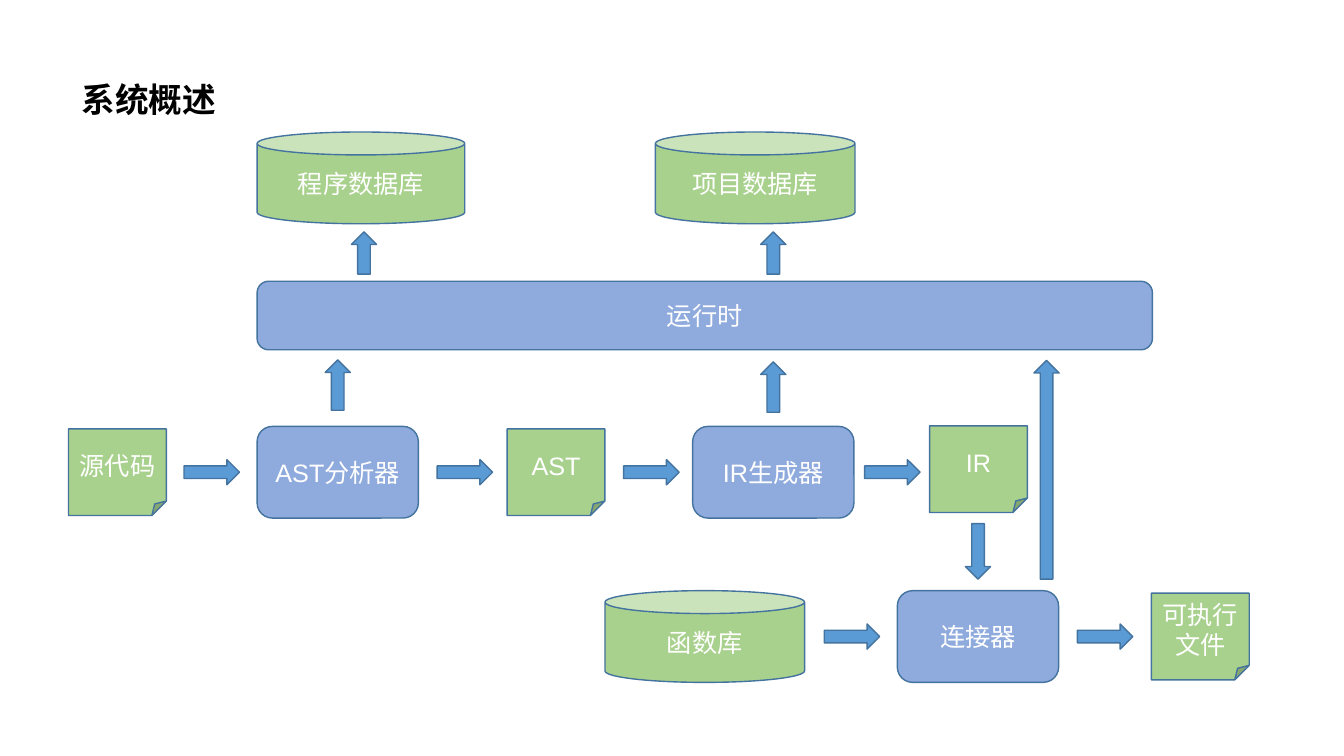
from dataclasses import dataclass

from pptx import Presentation
from pptx.dml.color import RGBColor
from pptx.enum.shapes import MSO_SHAPE
from pptx.enum.text import MSO_ANCHOR, PP_ALIGN
from pptx.util import Inches, Pt


@dataclass(frozen=True)
class Theme:
    process: str = "8FAADC"
    storage: str = "A9D18E"
    arrow: str = "5B9BD5"
    outline: str = "43739E"
    label: str = "FFFFFF"
    title: str = "000000"
    body_font: str = "Arial"
    title_font: str = "Montserrat"
    body_size: int = 18
    title_size: int = 24


@dataclass(frozen=True)
class Box:
    left: float
    top: float
    width: float
    height: float

    @property
    def middle(self):
        return self.top + self.height / 2


THEME = Theme()
STEP_WIDTH, STEP_HEIGHT = 1.6, 0.91
FILE_WIDTH, FILE_HEIGHT = 0.97, 0.86
STORE_WIDTH = 1.98
ARROW_LENGTH, ARROW_WIDTH = 0.55, 0.25
RIGHT, DOWN, UP = 0, 90, 270


def style_run(run, font, size, color, bold=False):
    run.font.name = font
    run.font.size = Pt(size)
    run.font.bold = bold
    run.font.color.rgb = RGBColor.from_string(color)


def add_block(slide, kind, box, fill, text=""):
    shape = slide.shapes.add_shape(
        kind, Inches(box.left), Inches(box.top), Inches(box.width), Inches(box.height))
    shape.shadow.inherit = False
    shape.fill.solid()
    shape.fill.fore_color.rgb = RGBColor.from_string(fill)
    shape.line.color.rgb = RGBColor.from_string(THEME.outline)
    shape.line.width = Pt(1)
    if text:
        frame = shape.text_frame
        frame.word_wrap = True
        frame.vertical_anchor = MSO_ANCHOR.MIDDLE
        paragraph = frame.paragraphs[0]
        paragraph.alignment = PP_ALIGN.CENTER
        run = paragraph.add_run()
        run.text = text
        style_run(run, THEME.body_font, THEME.body_size, THEME.label)
    return shape


def add_step(slide, left, top, text, width=STEP_WIDTH, height=STEP_HEIGHT):
    add_block(slide, MSO_SHAPE.ROUNDED_RECTANGLE,
              Box(left, top, width, height), THEME.process, text)


def add_store(slide, left, top, text, width=STORE_WIDTH):
    add_block(slide, MSO_SHAPE.CAN,
              Box(left, top, width, STEP_HEIGHT), THEME.storage, text)


def add_file(slide, left, middle, text):
    add_block(slide, MSO_SHAPE.FOLDED_CORNER,
              Box(left, middle - FILE_HEIGHT / 2, FILE_WIDTH, FILE_HEIGHT),
              THEME.storage, text)


def add_arrow(slide, center_x, center_y, direction=RIGHT, length=ARROW_LENGTH):
    box = Box(center_x - length / 2, center_y - ARROW_WIDTH / 2, length, ARROW_WIDTH)
    add_block(slide, MSO_SHAPE.RIGHT_ARROW, box, THEME.arrow).rotation = direction


def set_title(slide, box, text):
    title = slide.shapes.title
    title.left, title.top = Inches(box.left), Inches(box.top)
    title.width, title.height = Inches(box.width), Inches(box.height)
    title.text_frame.vertical_anchor = MSO_ANCHOR.MIDDLE
    paragraph = title.text_frame.paragraphs[0]
    paragraph.alignment = PP_ALIGN.LEFT
    paragraph.line_spacing = 0.9
    run = paragraph.add_run()
    run.text = text
    style_run(run, THEME.title_font, THEME.title_size, THEME.title, bold=True)


def draw_databases(slide, box):
    add_store(slide, box.left, box.top, "程序数据库", width=2.06)
    add_store(slide, box.left + box.width - STORE_WIDTH, box.top, "项目数据库")
    for offset in (1.06, 5.12):
        add_arrow(slide, box.left + offset, box.top + 1.2, UP, 0.42)


def draw_runtime(slide, box):
    add_step(slide, box.left, box.top, "运行时", box.width, box.height)
    for offset, drop in ((0.8, 1.03), (5.12, 1.05)):
        add_arrow(slide, box.left + offset, box.top + drop, UP, 0.5)


def draw_compilation(slide, box):
    for offset, text in ((1.87, "AST分析器"), (6.19, "IR生成器")):
        add_step(slide, box.left + offset, box.top, text)
    for offset, shift, text in ((0, 0, "源代码"), (4.35, 0, "AST"), (8.54, -0.03, "IR")):
        add_file(slide, box.left + offset, box.middle + shift, text)
    for offset in (1.42, 3.93, 5.78, 8.17):
        add_arrow(slide, box.left + offset, box.middle)


def draw_linking(slide, box):
    add_store(slide, box.left, box.top, "函数库")
    add_step(slide, box.left + 2.9, box.top, "连接器")
    add_file(slide, box.left + box.width - FILE_WIDTH, box.middle, "可执行文件")
    for offset in (2.45, 4.96):
        add_arrow(slide, box.left + offset, box.middle)
    add_arrow(slide, box.left + 3.7, box.top - 0.39, DOWN)
    add_arrow(slide, box.left + 4.38, box.top - 1.2, UP, 2.17)


def build_overview(presentation):
    slide = presentation.slides.add_slide(presentation.slide_layouts[5])
    set_title(slide, Box(0.71, 0.28, 11.5, 1.45), "系统概述")
    draw_databases(slide, Box(2.55, 1.31, 5.93, STEP_HEIGHT))
    draw_runtime(slide, Box(2.55, 2.79, 8.88, 0.68))
    draw_compilation(slide, Box(0.68, 4.23, 9.51, STEP_HEIGHT))
    draw_linking(slide, Box(6, 5.86, 6.39, STEP_HEIGHT))


presentation = Presentation()
presentation.slide_width = Inches(13.33)
presentation.slide_height = Inches(7.5)
build_overview(presentation)
presentation.save("out.pptx")
